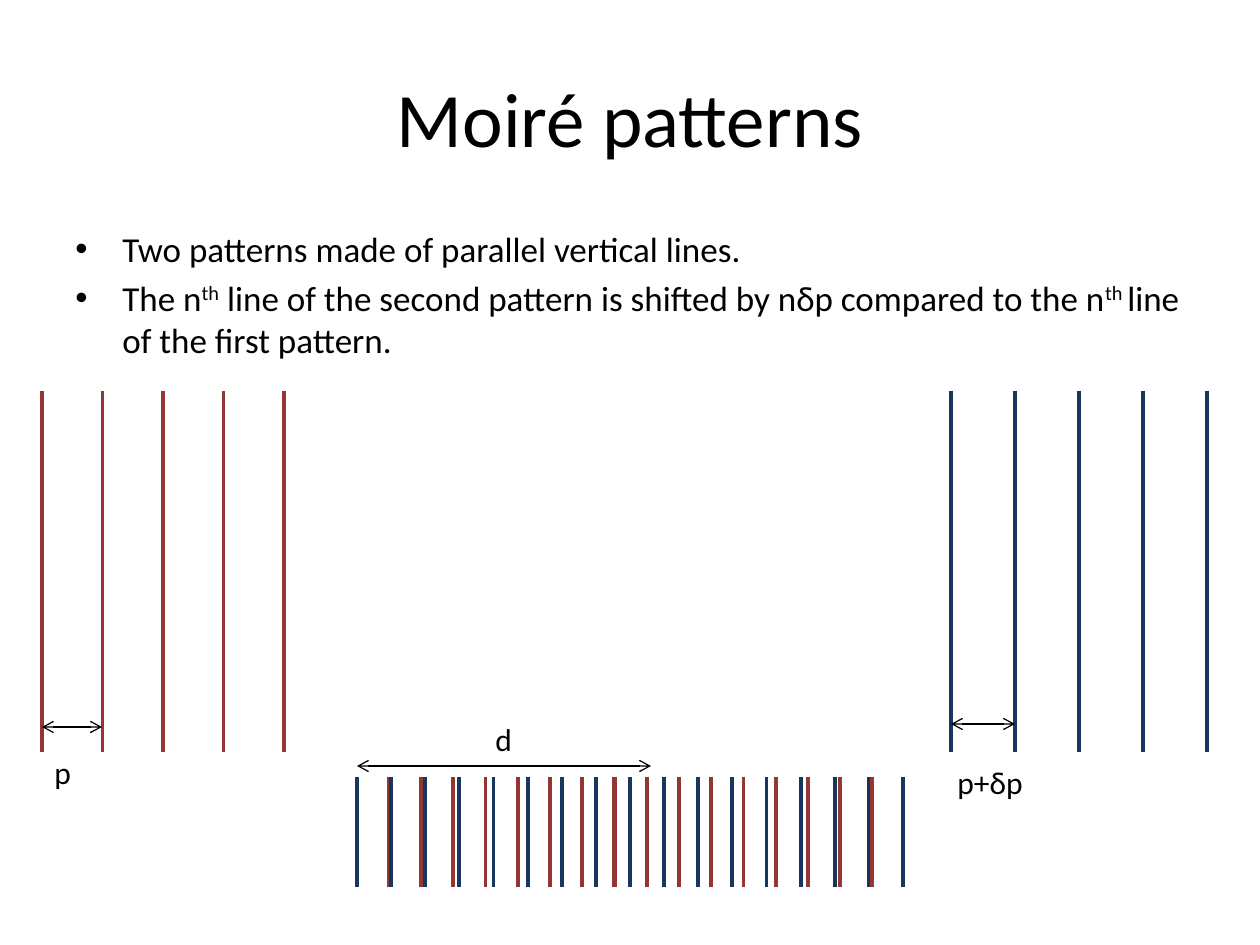
from lxml import etree
from pptx import Presentation
from pptx.dml.color import RGBColor
from pptx.enum.shapes import MSO_CONNECTOR
from pptx.enum.text import MSO_ANCHOR, PP_ALIGN
from pptx.oxml.ns import qn
from pptx.util import Pt

STRAIGHT = MSO_CONNECTOR.STRAIGHT
MIDDLE = MSO_ANCHOR.MIDDLE
CENTER = PP_ALIGN.CENTER

SCALE = 914400 / 126
FONT = "Calibri"
TITLE_LAYOUT = 5
COLORS = {"red": "943634", "blue": "17365D", "black": "000000"}

TITLE = "Moiré patterns"
TITLE_BOX = (63, 38, 1134, 158)
BODY_BOX = (63, 221, 1134, 624)
BULLET_INDENT = 47
BULLETS = [
    [("Two patterns made of parallel vertical lines.", False)],
    [
        ("The n", False),
        ("th", True),
        (" line of the second pattern is shifted by nδp compared to the n", False),
        ("th ", True),
        ("line of the first pattern.", False),
    ],
]

# color, first x, last x, line count, top, bottom
GRATINGS = [
    ("red", 42, 284, 5, 391, 752),
    ("blue", 951, 1207, 5, 391, 752),
    ("red", 357, 614, 9, 777, 887),
    ("blue", 357, 903, 17, 777, 887),
    ("red", 615, 872, 9, 777, 887),
]
# label, label box, arrow start x, arrow end x, arrow y
DIMENSIONS = [
    ("p", (42, 747, 42, 50), 42, 102, 727),
    ("p+δp", (945, 757, 105, 50), 951, 1015, 724),
    ("d", (483, 714, 42, 50), 357, 651, 766),
]


def px(length):
    return round(length * SCALE)


def format_font(font, size):
    font.name = FONT
    font.size = Pt(size)
    font.color.rgb = RGBColor.from_string(COLORS["black"])


def add_line(slide, start, end, color, width):
    line = slide.shapes.add_connector(STRAIGHT, *map(px, start + end))
    line.line.color.rgb = RGBColor.from_string(COLORS[color])
    line.line.width = Pt(width)
    etree.SubElement(line._element.spPr, qn("a:effectLst"))
    return line


def add_title(slide):
    title = slide.shapes.title
    title.left, title.top, title.width, title.height = map(px, TITLE_BOX)
    title.text_frame.text = TITLE
    title.text_frame.vertical_anchor = MIDDLE
    paragraph = title.text_frame.paragraphs[0]
    paragraph.alignment = CENTER
    format_font(paragraph.runs[0].font, 44)


def add_bullets(slide):
    frame = slide.shapes.add_textbox(*map(px, BODY_BOX)).text_frame
    frame.word_wrap = True
    for index, pieces in enumerate(BULLETS):
        paragraph = frame.add_paragraph() if index else frame.paragraphs[0]
        if index:
            paragraph.space_before = Pt(4)
        properties = paragraph._p.get_or_add_pPr()
        properties.set("marL", str(px(BULLET_INDENT)))
        properties.set("indent", str(-px(BULLET_INDENT)))
        etree.SubElement(properties, qn("a:buFont"), typeface="Arial")
        etree.SubElement(properties, qn("a:buChar"), char="•")
        for text, raised in pieces:
            run = paragraph.add_run()
            run.text = text
            format_font(run.font, 20)
            if raised:
                run._r.get_or_add_rPr().set("baseline", "30000")


def add_grating(slide, color, first, last, count, top, bottom):
    pitch = (last - first) / (count - 1)
    for index in range(count):
        x = first + index * pitch
        add_line(slide, (x, top), (x, bottom), color, 2.25)


def add_dimension(slide, label, box, left, right, y):
    arrow = add_line(slide, (left, y), (right, y), "black", 0.75)
    outline = arrow.line._get_or_add_ln()
    for end in ("a:headEnd", "a:tailEnd"):
        etree.SubElement(outline, qn(end), type="arrow")
    frame = slide.shapes.add_textbox(*map(px, box)).text_frame
    frame.word_wrap = False
    frame.text = label
    format_font(frame.paragraphs[0].runs[0].font, 18)


def main():
    presentation = Presentation()
    presentation.slide_width, presentation.slide_height = px(1260), px(945)
    slide = presentation.slides.add_slide(presentation.slide_layouts[TITLE_LAYOUT])
    add_title(slide)
    add_bullets(slide)
    for grating in GRATINGS:
        add_grating(slide, *grating)
    for dimension in DIMENSIONS:
        add_dimension(slide, *dimension)
    presentation.save("out.pptx")


if __name__ == "__main__":
    main()
